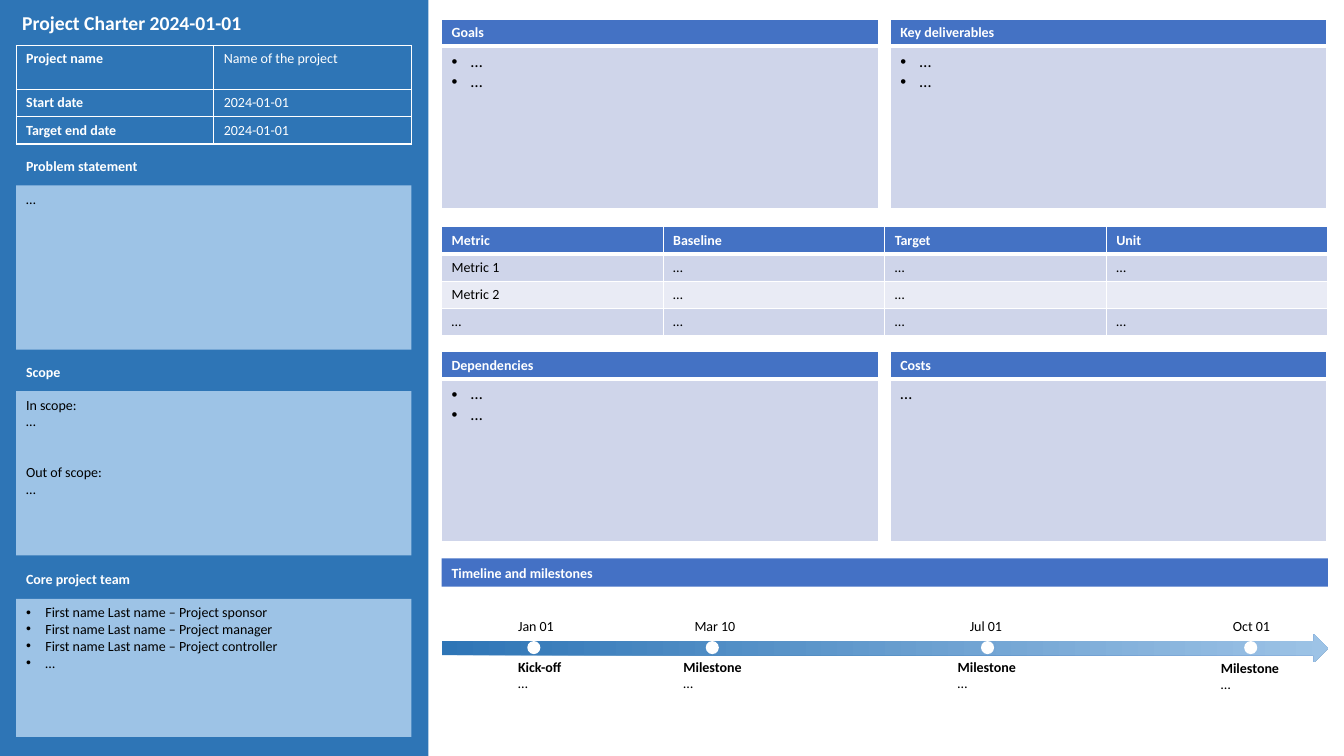
from lxml import etree
from pptx import Presentation
from pptx.dml.color import RGBColor
from pptx.enum import shapes, text
from pptx.oxml import ns
from pptx.util import Inches, Pt

FONT = "Calibri"
WHITE, BLACK = "FFFFFF", "000000"
PANEL, NOTE = "2E75B6", "9DC3E6"
HEADER, BAND, LIGHT_BAND = "4472C4", "CFD5EA", "E9EBF5"
TIMELINE = "4471C5"

SIDE_LEFT, SIDE_WIDTH = 0.16, 3.92
MAIN_LEFT, MAIN_WIDTH = 4.38, 8.79
CARD_WIDTH, SECOND_CARD = 4.33, 8.83
ROW = 0.27
INDENT = 0.19


def color(value):
    return RGBColor.from_string(value)


def place(item, left, top, width, height):
    item.left, item.top = Inches(left), Inches(top)
    item.width, item.height = Inches(width), Inches(height)


def add_bullet(para):
    properties = para._p.get_or_add_pPr()
    properties.set("marL", str(Inches(INDENT)))
    properties.set("indent", str(Inches(-INDENT)))
    for tag, name, value in (("a:buFont", "typeface", "Arial"), ("a:buChar", "char", "•")):
        etree.SubElement(properties, ns.qn(tag)).set(name, value)


def write(frame, lines, size=10, ink=BLACK, bold=False, bullets=False):
    for index, line in enumerate(lines):
        para = frame.paragraphs[0] if index == 0 else frame.add_paragraph()
        para.text = line
        para.alignment = text.PP_ALIGN.LEFT
        para.space_before = Pt(0)
        if bullets:
            add_bullet(para)
        para.font.name = FONT
        para.font.size = Pt(size)
        para.font.bold = bold
        para.font.color.rgb = color(ink)
        if not line:
            etree.SubElement(para._p, ns.qn("a:endParaRPr")).set("sz", str(size * 100))


def add_shape(page, kind, left, top, width, height, fill):
    shape = page.shapes.add_shape(
        kind, Inches(left), Inches(top), Inches(width), Inches(height))
    shape.shadow.inherit = False
    shape.line.fill.background()
    shape.fill.solid()
    shape.fill.fore_color.rgb = color(fill)
    return shape


def add_label(page, left, top, width, height, lines, ink=BLACK, bold=False, wrap=False):
    box = page.shapes.add_textbox(
        Inches(left), Inches(top), Inches(width), Inches(height))
    frame = box.text_frame
    frame.word_wrap = wrap
    frame.auto_size = text.MSO_AUTO_SIZE.SHAPE_TO_FIT_TEXT
    write(frame, lines, ink=ink, bold=bold)
    return frame


def add_heading(page, top, label):
    add_label(page, SIDE_LEFT, top, SIDE_WIDTH, ROW, [label], WHITE, True, wrap=True)


def add_note(page, top, height, lines):
    note = add_shape(page, shapes.MSO_SHAPE.RECTANGLE,
                     SIDE_LEFT, top, SIDE_WIDTH, height, NOTE)
    note.text_frame.vertical_anchor = text.MSO_ANCHOR.TOP
    write(note.text_frame, lines)
    return note.text_frame


def fill_placeholder(holder, left, top, width, height, lines, anchor, **style):
    holder.element.getparent().append(holder.element)
    place(holder, left, top, width, height)
    frame = holder.text_frame
    frame.auto_size = text.MSO_AUTO_SIZE.NONE
    frame.word_wrap = True
    frame.vertical_anchor = anchor
    write(frame, lines, **style)


def set_borders(cell, top=1, bottom=1):
    properties = cell._tc.get_or_add_tcPr()
    sides = (("L", 1), ("R", 1), ("T", top), ("B", bottom))
    for index, (side, width) in enumerate(sides):
        line = etree.Element(ns.qn("a:ln" + side), w=str(Pt(width)))
        fill = etree.SubElement(line, ns.qn("a:solidFill"))
        etree.SubElement(fill, ns.qn("a:srgbClr")).set("val", WHITE)
        properties.insert(index, line)


def add_grid(page, left, top, width, heights, columns):
    frame = page.shapes.add_table(
        len(heights), columns, Inches(left), Inches(top),
        Inches(width), Inches(sum(heights)))
    table = frame.table
    for row, height in zip(table.rows, heights):
        row.height = Inches(height)
    return table


def fill_cell(cell, lines, fill=None, top=1, bottom=1, **style):
    if fill:
        cell.fill.solid()
        cell.fill.fore_color.rgb = color(fill)
    else:
        cell.fill.background()
    set_borders(cell, top, bottom)
    write(cell.text_frame, lines, **style)


def add_card(page, left, top, label, lines, bullets=True):
    table = add_grid(page, left, top, CARD_WIDTH, [ROW, 1.61], 1)
    fill_cell(table.cell(0, 0), [label], HEADER, bottom=3, ink=WHITE, bold=True)
    fill_cell(table.cell(1, 0), lines, BAND, top=3, size=12, bullets=bullets)


def add_project_table(page):
    rows = [("Project name", "Name of the project"),
            ("Start date", "2024-01-01"),
            ("Target end date", "2024-01-01")]
    table = add_grid(page, SIDE_LEFT, 0.45, SIDE_WIDTH, [0.44, ROW, ROW], 2)
    for r, row in enumerate(rows):
        for c, value in enumerate(row):
            fill_cell(table.cell(r, c), [value], ink=WHITE, bold=c == 0)


def add_metrics(page):
    rows = [("Metric", "Baseline", "Target", "Unit"),
            ("Metric 1", "…", "…", "…"),
            ("Metric 2", "…", "…", ""),
            ("…", "…", "…", "…")]
    table = add_grid(page, MAIN_LEFT, 2.25, MAIN_WIDTH, [ROW] * len(rows), 4)
    for r, row in enumerate(rows):
        for c, value in enumerate(row):
            if r == 0:
                fill_cell(table.cell(r, c), [value], HEADER, bottom=3, ink=WHITE, bold=True)
            else:
                fill_cell(table.cell(r, c), [value], BAND if r % 2 else LIGHT_BAND,
                          top=3 if r == 1 else 1)


def add_timeline(page):
    bar = add_shape(page, shapes.MSO_SHAPE.RECTANGLE,
                    MAIN_LEFT, 5.54, MAIN_WIDTH, 0.28, TIMELINE)
    write(bar.text_frame, ["Timeline and milestones"], ink=WHITE, bold=True)
    arrow = add_shape(page, shapes.MSO_SHAPE.RIGHT_ARROW,
                      MAIN_LEFT, 6.29, MAIN_WIDTH, 0.28, PANEL)
    arrow.fill.gradient()
    arrow.fill.gradient_angle = 0
    for stop, shade in zip(arrow.fill.gradient_stops, (PANEL, NOTE)):
        stop.color.rgb = color(shade)

    milestones = [
        (5.23, "Jan 01", 5.04, 0.56, "Kick-off", 5.04, 6.48, 0.64),
        (7.0, "Mar 10", 6.79, 0.61, "Milestone", 6.68, 6.48, 0.79),
        (9.73, "Jul 01", 9.52, 0.53, "Milestone", 9.4, 6.48, 0.79),
        (12.34, "Oct 01", 12.13, 0.58, "Milestone", 12.01, 6.49, 0.79),
    ]
    for dot, date, date_left, date_width, name, left, top, width in milestones:
        add_shape(page, shapes.MSO_SHAPE.OVAL, dot, 6.36, 0.13, 0.13, WHITE)
        add_label(page, date_left, 6.08, date_width, ROW, [date])
        frame = add_label(page, left, top, width, 0.44, [name, "…"])
        frame.paragraphs[0].font.bold = True


def main():
    deck = Presentation()
    deck.slide_width, deck.slide_height = Inches(13.33), Inches(7.5)
    page = deck.slides.add_slide(deck.slide_layouts[1])

    add_shape(page, shapes.MSO_SHAPE.RECTANGLE, 0, 0, 4.25, 7.5, PANEL)
    fill_placeholder(page.shapes.title, 0.12, 0.06, SIDE_WIDTH, 0.34,
                     ["Project Charter 2024-01-01"], text.MSO_ANCHOR.TOP,
                     size=14, ink=WHITE, bold=True)
    add_project_table(page)

    add_heading(page, 1.51, "Problem statement")
    add_note(page, 1.84, 1.63, ["…"])
    add_heading(page, 3.56, "Scope")
    scope = add_note(page, 3.88, 1.63, ["In scope:", "…", "Out of scope:", "…"])
    scope.paragraphs[2].space_before = Pt(24)
    add_heading(page, 5.61, "Core project team")
    team = page.placeholders[1]
    team.fill.solid()
    team.fill.fore_color.rgb = color(NOTE)
    roles = ("sponsor", "manager", "controller")
    members = [f"First name Last name – Project {role}" for role in roles]
    fill_placeholder(team, SIDE_LEFT, 5.94, SIDE_WIDTH, 1.37, members + ["…"],
                     text.MSO_ANCHOR.TOP, bullets=True)

    add_card(page, MAIN_LEFT, 0.19, "Goals", ["…", "…"])
    add_card(page, SECOND_CARD, 0.19, "Key deliverables", ["…", "…"])
    add_metrics(page)
    add_card(page, MAIN_LEFT, 3.49, "Dependencies", ["…", "…"])
    add_card(page, SECOND_CARD, 3.49, "Costs", ["…"], bullets=False)
    add_timeline(page)
    deck.save("out.pptx")


if __name__ == "__main__":
    main()
